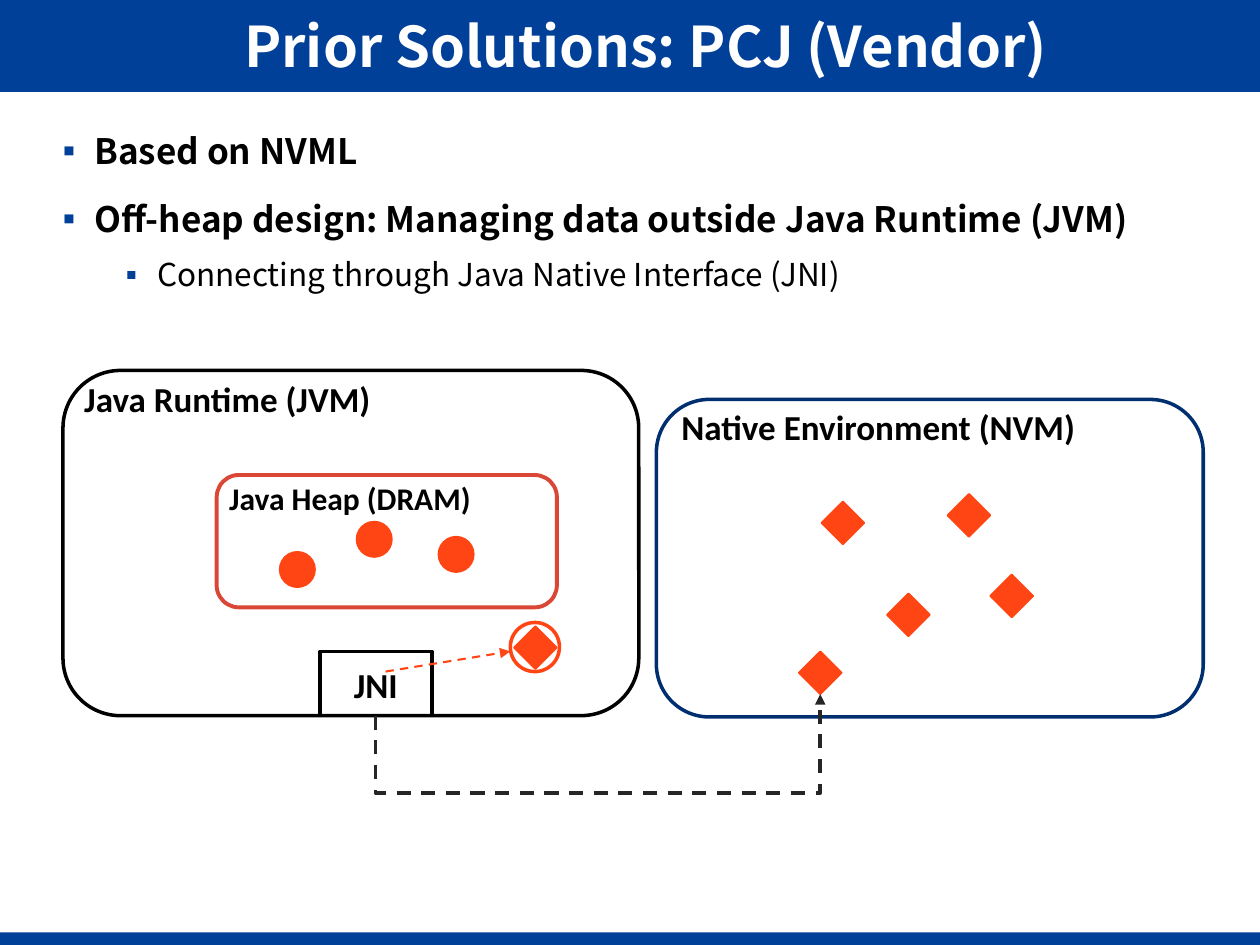
from dataclasses import dataclass

from lxml import etree
from pptx import Presentation
from pptx.dml.color import RGBColor
from pptx.enum.dml import MSO_LINE
from pptx.enum.shapes import MSO_CONNECTOR, MSO_SHAPE
from pptx.enum.text import MSO_ANCHOR, MSO_AUTO_SIZE
from pptx.oxml.ns import qn
from pptx.util import Inches, Pt

RECTANGLE = MSO_SHAPE.RECTANGLE
ROUNDED = MSO_SHAPE.ROUNDED_RECTANGLE
OVAL = MSO_SHAPE.OVAL
DIAMOND = MSO_SHAPE.DIAMOND
STRAIGHT = MSO_CONNECTOR.STRAIGHT
ELBOW = MSO_CONNECTOR.ELBOW
DASH = MSO_LINE.DASH
MIDDLE = MSO_ANCHOR.MIDDLE
TOP = MSO_ANCHOR.TOP
GROW = MSO_AUTO_SIZE.SHAPE_TO_FIT_TEXT
BOTTOM_SIDE = 2


@dataclass(frozen=True)
class Theme:
    blue: str = "004098"
    navy: str = "002F70"
    red: str = "DA4736"
    orange: str = "FF4513"
    charcoal: str = "262626"
    black: str = "000000"
    white: str = "FFFFFF"
    heading_font: str = "Noto Sans CJK SC"
    label_font: str = "Calibri"
    title_size: float = 32
    large_size: float = 20
    small_size: float = 18


THEME = Theme()


@dataclass(frozen=True)
class Area:
    left: float
    top: float
    width: float
    height: float

    def lengths(self):
        return [Inches(v) for v in (self.left, self.top, self.width, self.height)]


@dataclass(frozen=True)
class Bullet:
    text: str
    level: int = 0


@dataclass(frozen=True)
class Region:
    area: Area
    line: str
    weight: float
    label: str
    label_area: Area
    label_size: float
    wrap: bool = True
    fill: str | None = None
    kind: MSO_SHAPE = ROUNDED


BULLETS = [
    Bullet("Based on NVML"),
    Bullet("Off-heap design: Managing data outside Java Runtime (JVM)"),
    Bullet("Connecting through Java Native Interface (JNI)", level=1),
]
RUNTIME = Region(Area(0.5, 2.94, 4.57, 2.74), THEME.black, 2, "Java Runtime (JVM)",
                 Area(0.57, 2.95, 2.49, 0.44), THEME.large_size, fill=THEME.white)
HEAP = Region(Area(1.72, 3.77, 2.7, 1.05), THEME.red, 2.25, "Java Heap (DRAM)",
              Area(1.72, 3.75, 2.21, 0.4), THEME.small_size, wrap=False)
NATIVE = Region(Area(5.21, 3.17, 4.34, 2.52), THEME.navy, 2, "Native Environment (NVM)",
                Area(5.31, 3.17, 3.36, 0.44), THEME.large_size)
JNI = Region(Area(2.54, 5.17, 0.89, 0.51), THEME.black, 2, "JNI",
             Area(2.71, 5.22, 0.58, 0.44), THEME.large_size, wrap=False, kind=RECTANGLE)
HEAP_OBJECTS = [(2.22, 4.38), (2.83, 4.14), (3.48, 4.26)]
NATIVE_OBJECTS = [(7.52, 3.92), (6.52, 3.98), (7.04, 4.71), (7.86, 4.56)]
LINKED_OBJECT = (6.34, 5.17)
PROXY_OBJECT = (4.08, 4.97)
CIRCLE_SIZE = 0.28
DIAMOND_SIZE = 0.34


def color(value: str) -> RGBColor:
    return RGBColor.from_string(value)


def draw_shape(page, kind, area: Area, fill: str | None = None,
               line: str | None = None, weight: float = 1):
    shape = page.shapes.add_shape(kind, *area.lengths())
    shape.shadow.inherit = False
    if fill:
        shape.fill.solid()
        shape.fill.fore_color.rgb = color(fill)
    else:
        shape.fill.background()
    if line:
        shape.line.color.rgb = color(line)
        shape.line.width = Pt(weight)
    else:
        shape.line.fill.background()
    return shape


def draw_object(page, kind, position: tuple[float, float], size: float):
    return draw_shape(page, kind, Area(*position, size, size), THEME.orange, THEME.orange)


def add_text_box(page, area: Area, wrap: bool = True, anchor=TOP):
    box = page.shapes.add_textbox(*area.lengths())
    box.text_frame.word_wrap = wrap
    box.text_frame.vertical_anchor = anchor
    return box.text_frame


def write(para, text: str, *, size: float, font: str, ink: str = THEME.black,
          bold: bool = True, spacing: float = 1, before: float = 0,
          margin: float = 0, indent: float = 0) -> None:
    span = para.add_run()
    span.text = text
    span.font.size = Pt(size)
    span.font.name = font
    span.font.bold = bold
    span.font.color.rgb = color(ink)
    para.line_spacing = spacing
    para.space_before = Pt(before)
    properties = para._p.get_or_add_pPr()
    properties.set("marL", str(Inches(margin)))
    properties.set("indent", str(Inches(indent)))


def add_bullet_mark(para) -> None:
    properties = para._p.get_or_add_pPr()
    tint = etree.SubElement(properties, qn("a:buClr"))
    etree.SubElement(tint, qn("a:srgbClr"), val=THEME.blue)
    etree.SubElement(properties, qn("a:buFont"), typeface=THEME.label_font)
    etree.SubElement(properties, qn("a:buChar"), char="▪")


def draw_bullets(page, area: Area, bullets: list[Bullet]) -> None:
    frame = add_text_box(page, area)
    for index, bullet in enumerate(bullets):
        para = frame.add_paragraph() if index else frame.paragraphs[0]
        para.level = bullet.level
        main = bullet.level == 0
        write(para, bullet.text, font=THEME.heading_font, bold=main, spacing=1.2,
              size=THEME.large_size if main else THEME.small_size,
              before=10 if main else 5, margin=0.25 + 0.5 * bullet.level, indent=-0.25)
        add_bullet_mark(para)


def draw_region(page, region: Region):
    shape = draw_shape(page, region.kind, region.area, region.fill, region.line, region.weight)
    frame = add_text_box(page, region.label_area, region.wrap)
    frame.auto_size = GROW
    write(frame.paragraphs[0], region.label, size=region.label_size, font=THEME.label_font)
    return shape


def draw_arrow(page, kind, start: tuple[float, float], end: tuple[float, float],
               ink: str, weight: float):
    arrow = page.shapes.add_connector(kind, *[Inches(v) for v in (*start, *end)])
    arrow.line.color.rgb = color(ink)
    arrow.line.width = Pt(weight)
    arrow.line.dash_style = DASH
    etree.SubElement(arrow.line._get_or_add_ln(), qn("a:tailEnd"), type="triangle")
    etree.SubElement(arrow._element.spPr, qn("a:effectLst"))
    return arrow


def route_below(arrow, turned: Area, bend: int) -> None:
    arrow.left, arrow.top, arrow.width, arrow.height = turned.lengths()
    properties = arrow._element.spPr
    frame = properties.find(qn("a:xfrm"))
    for name, value in (("rot", "5400000"), ("flipH", "1"), ("flipV", "1")):
        frame.set(name, value)
    guides = properties.find(qn("a:prstGeom")).get_or_add_avLst()
    etree.SubElement(guides, qn("a:gd"), name="adj1", fmla=f"val {bend}")


def main() -> None:
    deck = Presentation()
    deck.slide_width, deck.slide_height = Inches(10), Inches(7.5)
    page = deck.slides.add_slide(deck.slide_layouts[6])

    for band in (Area(0, 0, 10, 0.73), Area(0, 7.4, 10, 0.1)):
        draw_shape(page, RECTANGLE, band, THEME.blue)
    draw_bullets(page, Area(0.4, 0.91, 9.16, 2.28), BULLETS)
    title = add_text_box(page, Area(0.84, 0.08, 9.16, 0.63), anchor=MIDDLE)
    write(title.paragraphs[0], "Prior Solutions: PCJ (Vendor)", size=THEME.title_size,
          font=THEME.heading_font, ink=THEME.white, spacing=0.9, margin=1)

    draw_region(page, RUNTIME)
    draw_region(page, HEAP)
    for position in HEAP_OBJECTS:
        draw_object(page, OVAL, position, CIRCLE_SIZE)
    draw_region(page, NATIVE)
    for position in NATIVE_OBJECTS:
        draw_object(page, DIAMOND, position, DIAMOND_SIZE)

    gateway = draw_region(page, JNI)
    linked = draw_object(page, DIAMOND, LINKED_OBJECT, DIAMOND_SIZE)
    link = draw_arrow(page, ELBOW, (2.98, 5.68), (6.51, 5.51), THEME.charcoal, 2)
    link.begin_connect(gateway, BOTTOM_SIDE)
    link.end_connect(linked, BOTTOM_SIDE)
    route_below(link, Area(4.66, 3.83, 0.17, 3.53), -362000)

    draw_object(page, DIAMOND, PROXY_OBJECT, DIAMOND_SIZE)
    draw_shape(page, OVAL, Area(4.05, 4.94, 0.39, 0.39), line=THEME.orange, weight=2)
    draw_arrow(page, STRAIGHT, (3.06, 5.33), (4.05, 5.17), THEME.orange, 1.2)
    deck.save("out.pptx")


if __name__ == "__main__":
    main()
